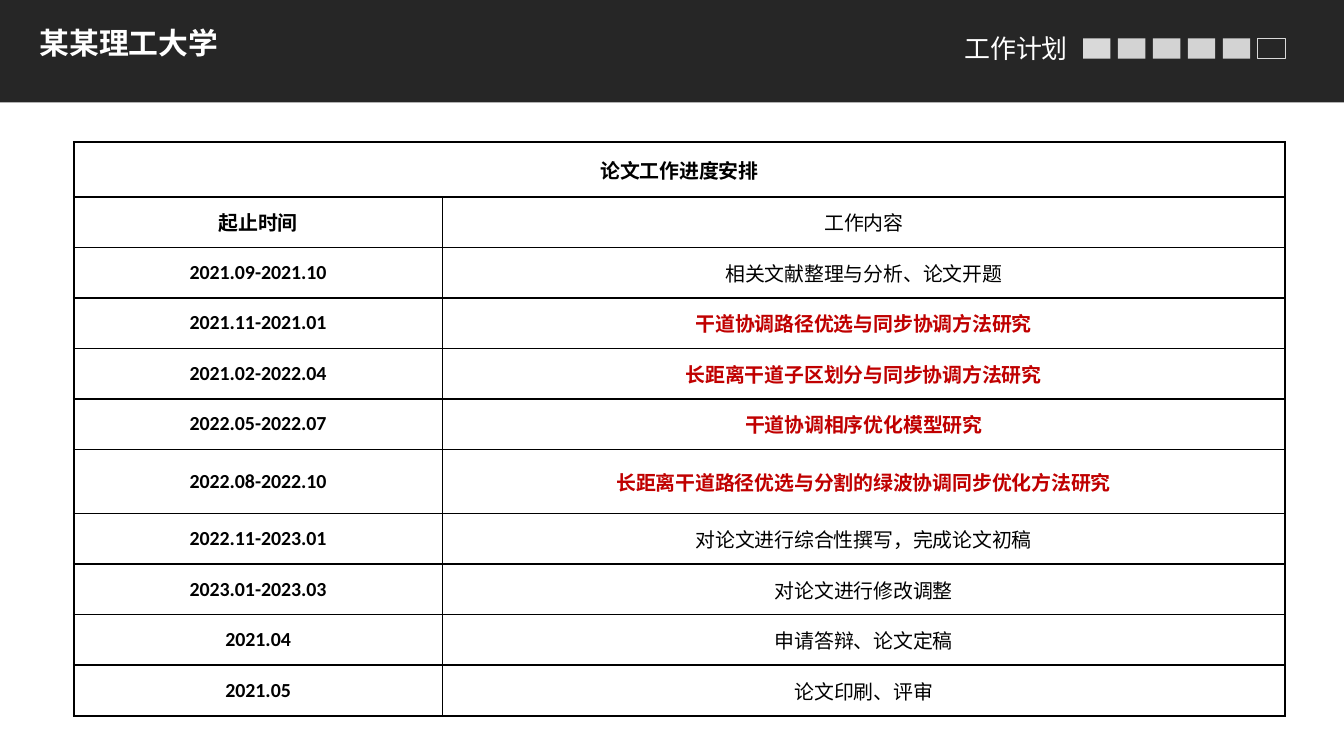
from dataclasses import dataclass

from lxml.etree import SubElement
from pptx import Presentation
from pptx.dml.color import RGBColor
from pptx.enum.shapes import MSO_SHAPE
from pptx.enum.text import MSO_ANCHOR, PP_ALIGN
from pptx.oxml.ns import qn
from pptx.shapes.autoshape import Shape
from pptx.slide import Slide
from pptx.table import _Cell
from pptx.text.text import TextFrame
from pptx.util import Inches, Pt

COLORS = {
    "white": "FFFFFF",
    "band": "262626",
    "marker": "D9D9D9",
    "text": "000000",
    "research": "C00000",
}
LATIN_FONT = "Calibri"
CHINESE_FONT = "Noto Sans CJK SC"

MARKER_COUNT = 6
MARKER_LEFT, LAST_MARKER_LEFT = 7.93, 9.21
MARKER_PITCH = (LAST_MARKER_LEFT - MARKER_LEFT) / (MARKER_COUNT - 1)

COLUMN_WIDTHS = (2.7, 6.17)
TITLE_ROW_HEIGHT, ROW_HEIGHT, TALL_ROW_HEIGHT = 0.4, 0.37, 0.47


@dataclass
class Stage:
    period: str
    work: str
    research: bool = False
    height: float = ROW_HEIGHT


STAGES = [
    Stage("起止时间", "工作内容"),
    Stage("2021.09-2021.10", "相关文献整理与分析、论文开题"),
    Stage("2021.11-2021.01", "干道协调路径优选与同步协调方法研究", True),
    Stage("2021.02-2022.04", "长距离干道子区划分与同步协调方法研究", True),
    Stage("2022.05-2022.07", "干道协调相序优化模型研究", True),
    Stage("2022.08-2022.10", "长距离干道路径优选与分割的绿波协调同步优化方法研究",
          True, TALL_ROW_HEIGHT),
    Stage("2022.11-2023.01", "对论文进行综合性撰写，完成论文初稿"),
    Stage("2023.01-2023.03", "对论文进行修改调整"),
    Stage("2021.04", "申请答辩、论文定稿"),
    Stage("2021.05", "论文印刷、评审"),
]


def rgb(name: str) -> RGBColor:
    return RGBColor.from_string(COLORS[name])


def write(frame: TextFrame, text: str, size: float, color: str,
          bold: bool = False, align: PP_ALIGN = PP_ALIGN.LEFT,
          font: str = LATIN_FONT) -> None:
    paragraph = frame.paragraphs[0]
    paragraph.alignment = align
    run = paragraph.add_run()
    run.text = text
    run.font.name = font
    run.font.size = Pt(size)
    run.font.bold = bold
    run.font.color.rgb = rgb(color)
    SubElement(run.font._element, qn("a:ea"), typeface=CHINESE_FONT)


def add_rectangle(slide: Slide, left: float, top: float, width: float,
                  height: float) -> Shape:
    rectangle = slide.shapes.add_shape(
        MSO_SHAPE.RECTANGLE, Inches(left), Inches(top), Inches(width), Inches(height))
    rectangle.shadow.inherit = False
    rectangle.fill.background()
    rectangle.line.fill.background()
    return rectangle


def fill_solid(shape: Shape, color: str) -> None:
    shape.fill.solid()
    shape.fill.fore_color.rgb = rgb(color)


def add_header(slide: Slide) -> None:
    band = add_rectangle(slide, 0, 0, 9.84, 0.75)
    fill_solid(band, "band")

    university = slide.shapes.add_textbox(
        Inches(0.19), Inches(0.13), Inches(3.88), Inches(0.36))
    university.text_frame.word_wrap = True
    write(university.text_frame, "某某理工大学", 15.7, "white", bold=True)

    heading = slide.shapes.title
    heading.left, heading.top = Inches(6.96), Inches(0.19)
    heading.width, heading.height = Inches(0.97), Inches(0.33)
    heading.text_frame.word_wrap = False
    heading.text_frame.vertical_anchor = MSO_ANCHOR.TOP
    write(heading.text_frame, "工作计划", 13.7, "white", font=CHINESE_FONT)
    heading.element.addprevious(band.element)


def add_progress_markers(slide: Slide) -> None:
    """Draw one box per chapter: the first solid, the last outlined, the rest translucent."""
    for index in range(MARKER_COUNT):
        marker = add_rectangle(slide, MARKER_LEFT + index * MARKER_PITCH, 0.28, 0.2, 0.15)
        if index == 0:
            fill_solid(marker, "marker")
        elif index == MARKER_COUNT - 1:
            marker.line.color.rgb = rgb("marker")
            marker.line.width = Pt(0.5)
        else:
            fill_solid(marker, "white")
            tint = marker.element.spPr.find(qn("a:solidFill"))[0]
            SubElement(tint, qn("a:alpha"), val="80000")


def format_cell(cell: _Cell) -> None:
    properties = cell._tc.get_or_add_tcPr()
    for side in ("L", "R", "T", "B"):
        border = SubElement(properties, qn(f"a:ln{side}"), w=str(Pt(1)))
        paint = SubElement(border, qn("a:solidFill"))
        SubElement(paint, qn("a:srgbClr"), val=COLORS["text"])
    cell.fill.background()
    cell.vertical_anchor = MSO_ANCHOR.MIDDLE
    cell.margin_left = cell.margin_right = Inches(0.07)
    cell.margin_top = cell.margin_bottom = 0


def write_cell(cell: _Cell, text: str, bold: bool, color: str = "text") -> None:
    write(cell.text_frame, text, 10.5, color, bold, PP_ALIGN.CENTER)


def add_schedule(slide: Slide) -> None:
    heights = [TITLE_ROW_HEIGHT] + [stage.height for stage in STAGES]
    schedule = slide.shapes.add_table(
        len(heights), len(COLUMN_WIDTHS), Inches(0.54), Inches(1.04),
        Inches(sum(COLUMN_WIDTHS)), Inches(sum(heights))).table
    schedule.first_row = False
    schedule.horz_banding = False
    for column, width in zip(schedule.columns, COLUMN_WIDTHS):
        column.width = Inches(width)
    for row, height in zip(schedule.rows, heights):
        row.height = Inches(height)
    for cell in schedule.iter_cells():
        format_cell(cell)

    schedule.cell(0, 0).merge(schedule.cell(0, 1))
    write_cell(schedule.cell(0, 0), "论文工作进度安排", bold=True)
    for row, stage in enumerate(STAGES, start=1):
        write_cell(schedule.cell(row, 0), stage.period, bold=True)
        write_cell(schedule.cell(row, 1), stage.work, stage.research,
                   "research" if stage.research else "text")


def main() -> None:
    presentation = Presentation()
    presentation.slide_width = Inches(9.84)
    presentation.slide_height = Inches(5.51)
    title_only = presentation.slide_layouts.get_by_name("Title Only")
    slide = presentation.slides.add_slide(title_only)
    add_header(slide)
    add_progress_markers(slide)
    add_schedule(slide)
    presentation.save("out.pptx")


if __name__ == "__main__":
    main()
